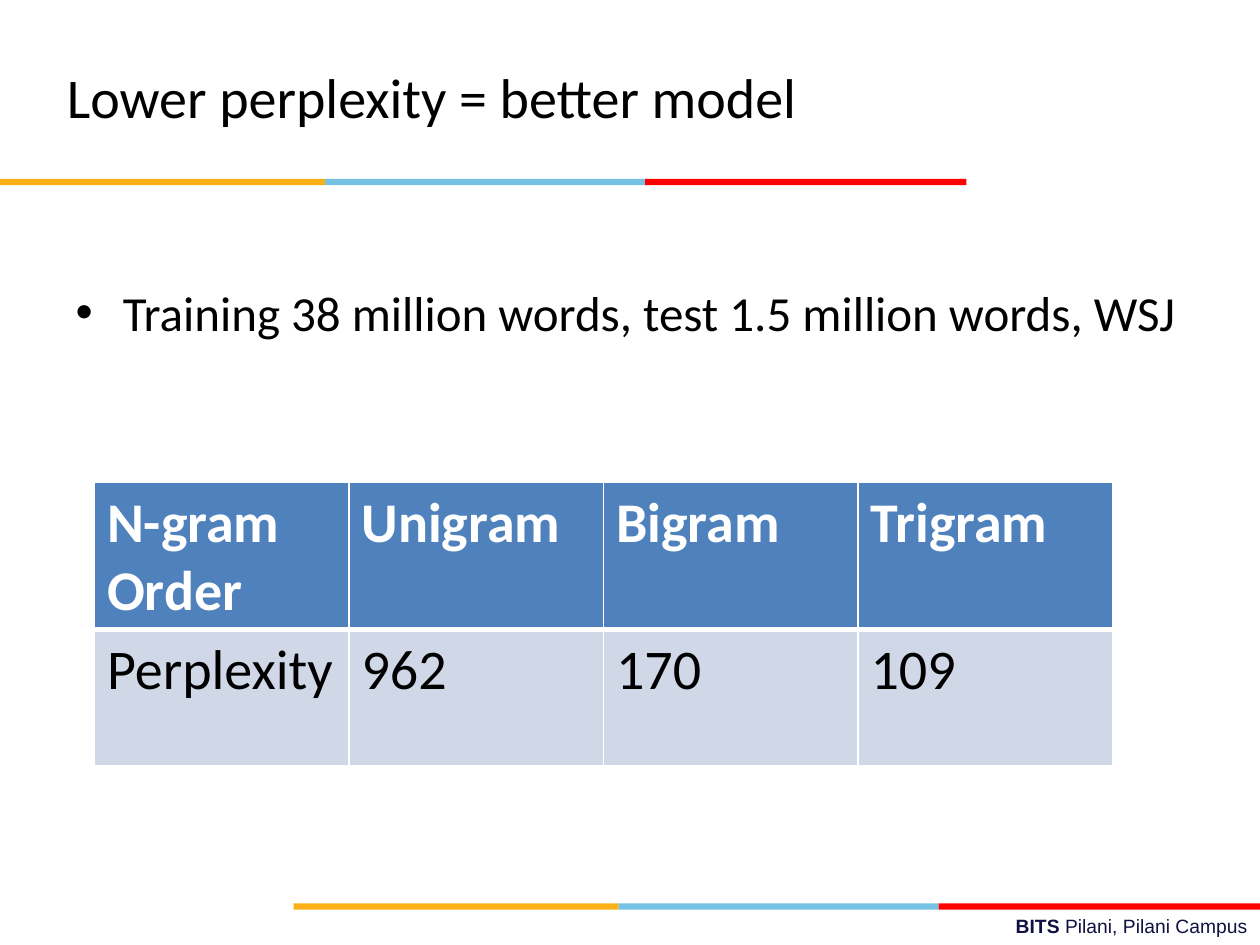
from lxml import etree
from pptx import Presentation
from pptx import util as u
from pptx.dml.color import RGBColor
from pptx.enum import shapes, text
from pptx.oxml.ns import qn

WIDTH, HEIGHT = 10, 7.5
STRIPE_WIDTH, STRIPE_HEIGHT = 7.67, 0.05
STRIPE = [("FCB017", 2.58), ("76C2E5", 2.54), ("FF0000", 2.55)]
NGRAMS = [
    ["N-gram Order", "Unigram", "Bigram", "Trigram"],
    ["Perplexity", "962", "170", "109"],
]


def inches(*lengths):
    return [u.Inches(length) for length in lengths]


def color(hex_value):
    return RGBColor.from_string(hex_value)


def style(font, size, hex_value, name="Calibri", bold=False):
    font.size, font.name, font.bold = u.Pt(size), name, bold
    font.color.rgb = color(hex_value)


def place(shape, box):
    shape.left, shape.top, shape.width, shape.height = inches(*box)


def add_stripe(slide, left, top):
    """Draw the three-coloured rule from its left end."""
    for hex_value, width in STRIPE:
        band = slide.shapes.add_shape(
            shapes.MSO_SHAPE.RECTANGLE, *inches(left, top, width, STRIPE_HEIGHT))
        band.shadow.inherit = False
        band.fill.solid()
        band.fill.fore_color.rgb = color(hex_value)
        band.line.fill.background()
        left += width


def add_footer(slide, box):
    footer = slide.shapes.add_textbox(*inches(*box))
    footer.text_frame.word_wrap = True
    line = footer.text_frame.paragraphs[0]
    line.alignment = text.PP_ALIGN.RIGHT
    for wording, bold in [("BITS ", True), ("Pilani, Pilani Campus", False)]:
        run = line.add_run()
        run.text = wording
        style(run.font, 11, "101141", "Arial", bold)


def fill_title(title, box, wording):
    place(title, box)
    frame = title.text_frame
    frame.text = wording
    frame.auto_size = text.MSO_AUTO_SIZE.NONE
    frame.vertical_anchor = text.MSO_ANCHOR.MIDDLE
    frame.paragraphs[0].alignment = text.PP_ALIGN.LEFT
    style(frame.paragraphs[0].font, 32, "000000")


def fill_body(body, box, wording):
    place(body, box)
    frame = body.text_frame
    frame.text = wording
    frame.auto_size = text.MSO_AUTO_SIZE.NONE
    frame.paragraphs[0].space_before = u.Pt(0)
    style(frame.paragraphs[0].font, 28, "000000")


def add_borders(cell, widths):
    """Add white borders; widths maps each side (L, R, T, B) to points."""
    properties = cell._tc.get_or_add_tcPr()
    for side, points in widths.items():
        line = etree.SubElement(properties, qn(f"a:ln{side}"), w=str(u.Pt(points)))
        fill = etree.SubElement(line, qn("a:solidFill"))
        etree.SubElement(fill, qn("a:srgbClr"), val="FFFFFF")


def add_perplexity_table(slide, box):
    table = slide.shapes.add_table(
        len(NGRAMS), len(NGRAMS[0]), *inches(*box)).table
    for r, values in enumerate(NGRAMS):
        header = r == 0
        for c, value in enumerate(values):
            cell = table.cell(r, c)
            cell.text = value
            add_borders(cell, {"L": 1, "R": 1, "T": 1 if header else 3,
                               "B": 3 if header else 1})
            cell.fill.solid()
            cell.fill.fore_color.rgb = color("4F81BD" if header else "D0D8E8")
            style(cell.text_frame.paragraphs[0].font, 32,
                  "FFFFFF" if header else "000000", bold=header)


def main():
    deck = Presentation()
    deck.slide_width, deck.slide_height = inches(WIDTH, HEIGHT)
    slide = deck.slides.add_slide(deck.slide_layouts[1])
    add_footer(slide, (3.58, 7.21, WIDTH - 3.58, 0.29))
    add_stripe(slide, WIDTH - STRIPE_WIDTH, 7.17)
    add_stripe(slide, 0, 1.42)
    fill_title(slide.shapes.title, (0.43, 0.3, 6.69, 0.93),
               "Lower perplexity = better model")
    fill_body(slide.placeholders[1], (0.5, 2.19, 9, 4.51),
              "Training 38 million words, test 1.5 million words, WSJ")
    add_perplexity_table(slide, (0.75, 3.83, 8.08, 2.16))
    deck.save("out.pptx")


if __name__ == "__main__":
    main()
